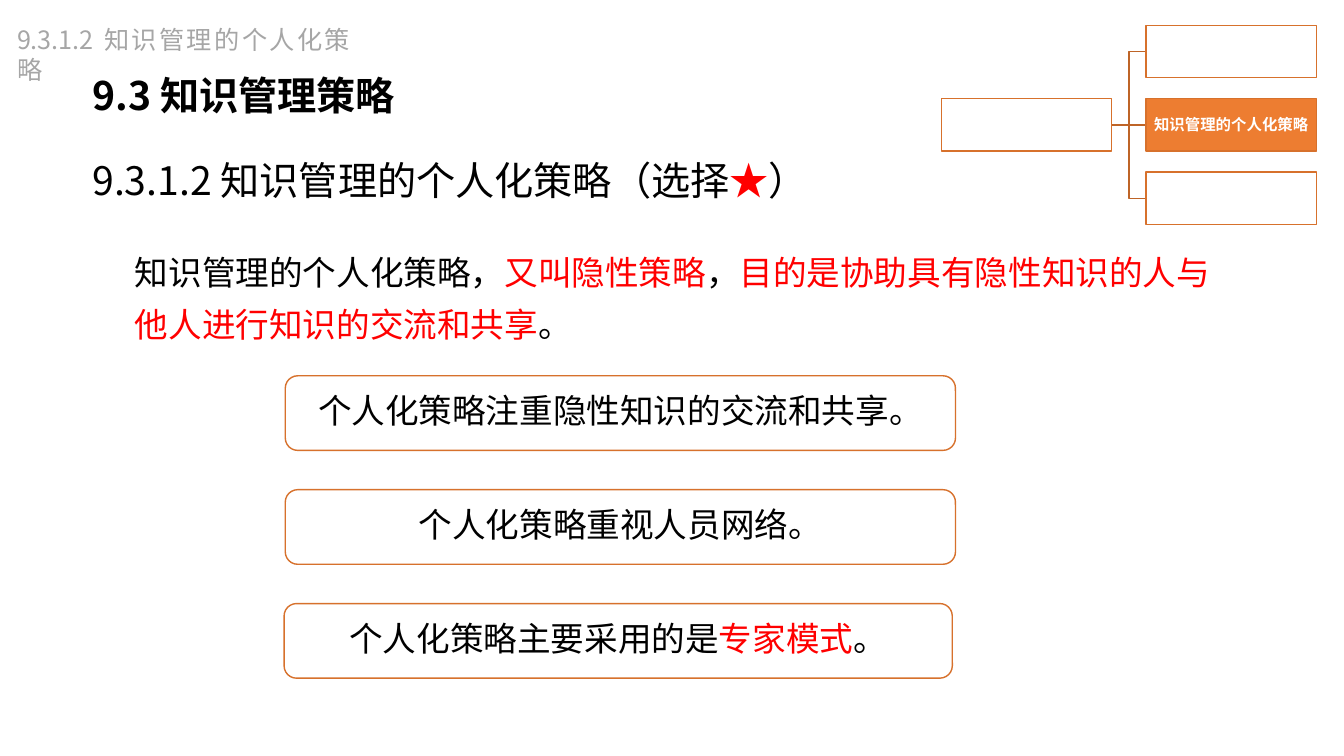
from lxml.etree import SubElement
from pptx import Presentation
from pptx.dml.color import RGBColor
from pptx.enum.shapes import MSO_CONNECTOR, MSO_SHAPE
from pptx.enum.text import MSO_ANCHOR, PP_ALIGN
from pptx.oxml.ns import qn
from pptx.util import Cm, Pt

COLORS = {
    "black": "000000",
    "red": "FF0000",
    "grey": "A6A6A6",
    "white": "FFFFFF",
    "orange": "ED7D31",
    "outline": "D7712C",
    "branch": "BE6427",
}
SANS_SC = "Noto Sans CJK SC"
SANS_JP = "Noto Sans CJK JP"


def color(name):
    """Return the palette colour with this name."""
    return RGBColor.from_string(COLORS[name])


class SlideBuilder:
    """Draws styled elements on the current slide."""

    def __init__(self, page):
        """Keep the slide to draw on."""
        self.page = page

    def label(self, box, spans, size, font, tint="black", bold=False,
              align=PP_ALIGN.LEFT, spacing=None, anchor=MSO_ANCHOR.TOP,
              margins=(0.25, 0.13)):
        """Fill a shape with one paragraph of (text, colour) spans."""
        frame = box.text_frame
        frame.word_wrap = True
        frame.vertical_anchor = anchor
        frame.margin_left = frame.margin_right = Cm(margins[0])
        frame.margin_top = frame.margin_bottom = Cm(margins[1])
        para = frame.paragraphs[0]
        para.alignment = align
        para.line_spacing = spacing
        para.font.size = Pt(size)
        para.font.bold = bold
        para.font.name = font
        para.font.color.rgb = color(tint)
        defaults = para._p.pPr.find(qn("a:defRPr"))
        SubElement(defaults, qn("a:ea")).set("typeface", font)
        for text, span_tint in spans:
            span = para.add_run()
            span.text = text
            if span_tint != tint:
                span.font.color.rgb = color(span_tint)

    def text(self, left, top, width, height, spans, size, font, **style):
        """Add a text box."""
        box = self.page.shapes.add_textbox(Cm(left), Cm(top), Cm(width), Cm(height))
        self.label(box, spans, size, font, **style)

    def panel(self, kind, left, top, width, height, fill="white"):
        """Add an outlined shape and return it."""
        box = self.page.shapes.add_shape(kind, Cm(left), Cm(top), Cm(width), Cm(height))
        box.shadow.inherit = False
        box.fill.solid()
        box.fill.fore_color.rgb = color(fill)
        box.line.color.rgb = color("outline")
        box.line.width = Pt(1)
        return box

    def branch(self, kind, start, end):
        """Add a connector between two points."""
        line = self.page.shapes.add_connector(kind, *map(Cm, start + end))
        line.line.color.rgb = color("branch")
        line.line.width = Pt(1)
        SubElement(line._element.spPr, qn("a:effectLst"))


def draw_headings(slide):
    """Draw the titles and the definition."""
    slide.text(2.03, 2.92, 30.89, 2.64,
               [("9.3.1.2 知识管理的个人化策略（选择", "black"), ("★", "red"), ("）", "black")],
               28, SANS_SC, spacing=1.5, anchor=MSO_ANCHOR.MIDDLE, margins=(0.3, 0.15))
    slide.text(2.03, 1.65, 29.08, 1.5, [("9.3 知识管理策略", "black")],
               28, SANS_SC, bold=True, margins=(0.3, 0.15))
    slide.text(3.15, 5.94, 27.79, 2.9,
               [("知识管理的个人化策略，", "black"), ("又叫隐性策略", "red"), ("，", "black"),
                ("目的是协助具有隐性知识的人与他人进行知识的交流和共享", "red"), ("。", "black")],
               24, SANS_JP, spacing=Pt(37))
    slide.text(0.18, 0.48, 8.89, 1.02, [("9.3.1.2 知识管理的个人化策略", "grey")],
               18, SANS_SC, tint="grey", align=PP_ALIGN.JUSTIFY)


def draw_points(slide):
    """Draw the three rounded panels."""
    points = [
        (7.19, 16.89, [("个人化策略注重隐性知识的交流和共享。", "black")]),
        (7.19, 16.89, [("个人化策略重视人员网络。", "black")]),
        (7.16, 16.84, [("个人化策略主要采用的是", "black"), ("专家模式", "red"), ("。", "black")]),
    ]
    for index, (left, width, spans) in enumerate(points):
        box = slide.panel(MSO_SHAPE.ROUNDED_RECTANGLE, left, 9.47 + 2.87 * index, width, 1.88)
        slide.label(box, spans, 24, SANS_JP, align=PP_ALIGN.CENTER, spacing=0.9,
                    anchor=MSO_ANCHOR.MIDDLE, margins=(0.66, 0))


def draw_tree(slide):
    """Draw the section tree with the current section highlighted."""
    root_left, leaf_left, width, height = 23.72, 28.88, 4.3, 1.32
    tops = [0.64 + 1.85 * row for row in range(3)]
    middle = tops[1] + height / 2
    for row, top in enumerate(tops):
        kind = MSO_CONNECTOR.STRAIGHT if row == 1 else MSO_CONNECTOR.ELBOW
        slide.branch(kind, (root_left + width, middle), (leaf_left, top + height / 2))
    slide.panel(MSO_SHAPE.RECTANGLE, root_left, tops[1], width, height)
    for row, top in enumerate(tops):
        fill = "orange" if row == 1 else "white"
        leaf = slide.panel(MSO_SHAPE.RECTANGLE, leaf_left, top, width, height, fill)
        if row == 1:
            slide.label(leaf, [("知识管理的个人化策略", "white")], 11, SANS_SC, tint="white",
                        bold=True, align=PP_ALIGN.CENTER, spacing=0.9,
                        anchor=MSO_ANCHOR.MIDDLE, margins=(0.02, 0.02))


def main():
    """Build and save the slide."""
    deck = Presentation()
    deck.slide_width, deck.slide_height = Cm(33.87), Cm(19.05)
    slide = SlideBuilder(deck.slides.add_slide(deck.slide_layouts[6]))
    draw_headings(slide)
    draw_points(slide)
    draw_tree(slide)
    deck.save("out.pptx")


if __name__ == "__main__":
    main()
